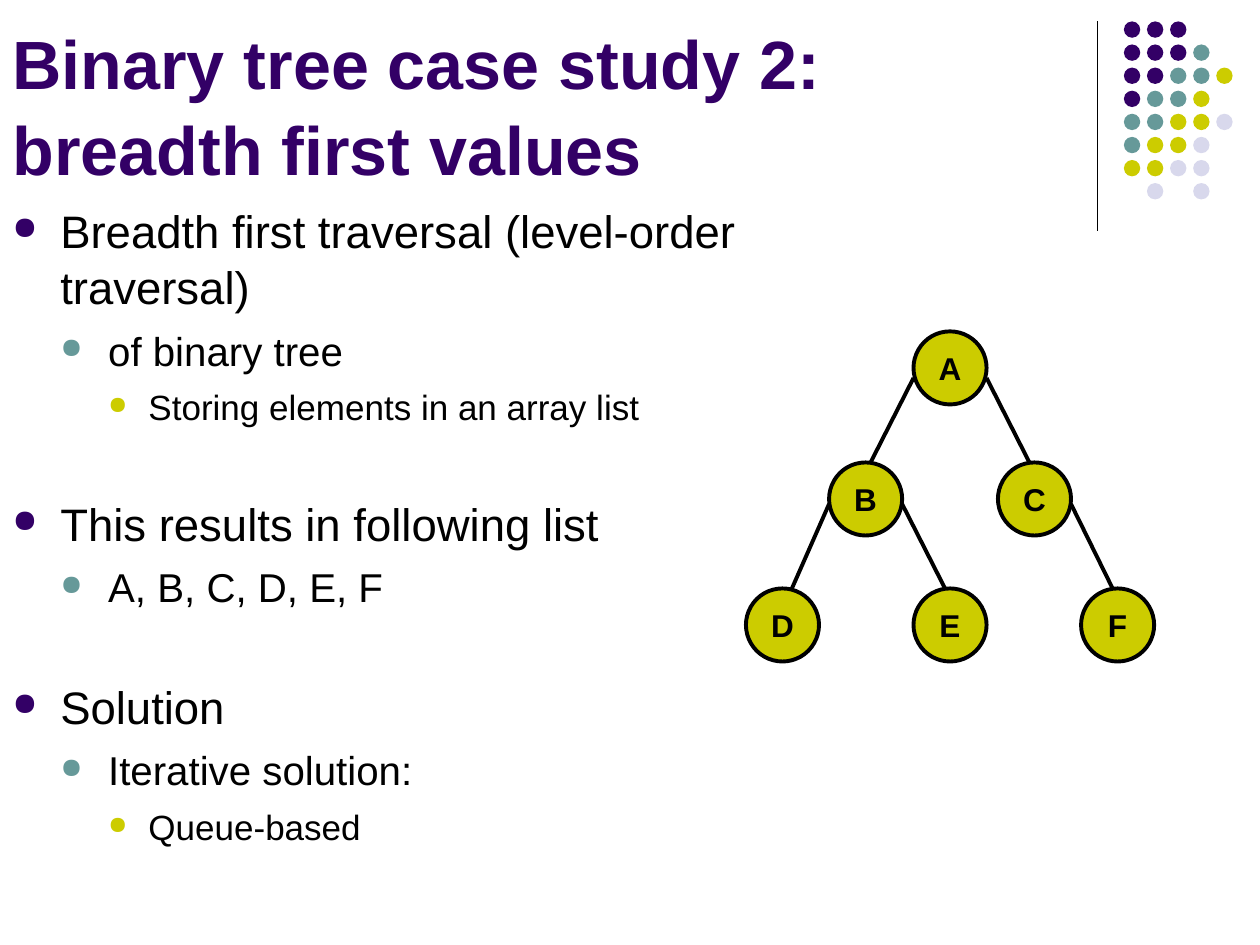
from lxml import etree
from pptx import Presentation
from pptx.dml.color import RGBColor
from pptx.enum.shapes import MSO_CONNECTOR, MSO_SHAPE
from pptx.enum.text import MSO_ANCHOR, MSO_AUTO_SIZE, PP_ALIGN
from pptx.oxml.ns import qn
from pptx.util import Inches, Pt

OVAL = MSO_SHAPE.OVAL
STRAIGHT = MSO_CONNECTOR.STRAIGHT
FONT = "Arial"
COLORS = {
    "purple": "330066",
    "teal": "669999",
    "lime": "CCCC00",
    "lavender": "D8D8EC",
    "black": "000000",
}
RGB = {name: RGBColor.from_string(value) for name, value in COLORS.items()}

presentation = Presentation()
presentation.slide_width = Inches(10)
presentation.slide_height = Inches(7.5)
slide = presentation.slides.add_slide(presentation.slide_layouts[5])
shapes = slide.shapes


def add_line(x1, y1, x2, y2, width):
    """Draw a straight black line without a shadow."""
    line = shapes.add_connector(
        STRAIGHT, Inches(x1), Inches(y1), Inches(x2), Inches(y2)
    )
    line.line.color.rgb = RGB["black"]
    line.line.width = Pt(width)
    etree.SubElement(line._element.spPr, qn("a:effectLst"))


def add_circle(left, top, size, color):
    """Draw a filled circle without a shadow and return it."""
    circle = shapes.add_shape(
        OVAL, Inches(left), Inches(top), Inches(size), Inches(size)
    )
    circle.shadow.inherit = False
    circle.fill.solid()
    circle.fill.fore_color.rgb = RGB[color]
    return circle


# Corner decoration: one letter per dot, a space leaves a gap
add_line(8.71, 0.17, 8.71, 1.83, 0.75)
DOT_ROWS = ["PPP", "PPPT", "PPTTL", "PTTL", "TTLLV", "TLLV", "LLVV", " V V"]
DOT_COLORS = {"P": "purple", "T": "teal", "L": "lime", "V": "lavender"}
DOT_PITCH = 1.1 / 6
for row, letters in enumerate(DOT_ROWS):
    for column, letter in enumerate(letters):
        if letter in DOT_COLORS:
            dot = add_circle(
                8.92 + column * DOT_PITCH,
                0.17 + row * DOT_PITCH,
                0.13,
                DOT_COLORS[letter],
            )
            dot.line.fill.background()

# Title
title = shapes.title
title.left, title.top = Inches(0), Inches(0)
title.width, title.height = Inches(8.75), Inches(1.55)
title.text_frame.text = "Binary tree case study 2: \vbreadth first values"
title.text_frame.auto_size = MSO_AUTO_SIZE.NONE
title.text_frame.vertical_anchor = MSO_ANCHOR.BOTTOM
paragraph = title.text_frame.paragraphs[0]
paragraph.alignment = PP_ALIGN.LEFT
paragraph.line_spacing = 1.05
paragraph.font.name = FONT
paragraph.font.size = Pt(39)
paragraph.font.bold = True
paragraph.font.color.rgb = RGB["purple"]

# Bulleted text: level, space before in points, wording
BULLETS = [
    (0, 2, "Breadth first traversal (level-order traversal)"),
    (1, 6, "of binary tree"),
    (2, 6, "Storing elements in an array list"),
    (0, 38, "This results in following list"),
    (1, 6, "A, B, C, D, E, F"),
    (0, 38, "Solution"),
    (1, 6, "Iterative solution: "),
    (2, 6, "Queue-based"),
]
# Per level: text size, left margin, hanging indent, bullet colour
LEVELS = [
    (26, 0.38, 0.38, "purple"),
    (23, 0.76, 0.38, "teal"),
    (20, 1.08, 0.32, "lime"),
]
body = shapes.add_textbox(Inches(0), Inches(1.55), Inches(7.25), Inches(5.95))
body.text_frame.word_wrap = True
for index, (level, space, text) in enumerate(BULLETS):
    size, margin, hanging, color = LEVELS[level]
    if index == 0:
        paragraph = body.text_frame.paragraphs[0]
    else:
        paragraph = body.text_frame.add_paragraph()
    paragraph.text = text
    paragraph.level = level
    paragraph.line_spacing = 1.03
    paragraph.space_before = Pt(space)
    paragraph.font.name = FONT
    paragraph.font.size = Pt(size)
    paragraph.font.color.rgb = RGB["black"]
    properties = paragraph._p.get_or_add_pPr()
    properties.set("marL", str(Inches(margin)))
    properties.set("indent", str(-Inches(hanging)))
    bullet_color = etree.Element(qn("a:buClr"))
    etree.SubElement(bullet_color, qn("a:srgbClr"), val=COLORS[color])
    bullet_size = etree.Element(qn("a:buSzPct"), val="70000")
    bullet_char = etree.Element(qn("a:buChar"), char="●")
    text_defaults = properties.find(qn("a:defRPr"))
    for element in (bullet_color, bullet_size, bullet_char):
        text_defaults.addprevious(element)

# Binary tree: edges first, so that nodes cover their ends
NODE_SIZE = 0.58
NODES = {
    "A": (7.25, 2.63),
    "B": (6.58, 3.67),
    "C": (7.92, 3.67),
    "D": (5.92, 4.67),
    "E": (7.25, 4.67),
    "F": (8.58, 4.67),
}
# Parent, child, height at the parent, height at the child
EDGES = [
    ("A", "B", 3, 3.67),
    ("A", "C", 3, 3.67),
    ("B", "D", 4, 4.75),
    ("B", "E", 4, 4.67),
    ("C", "F", 4, 4.67),
]
for parent, child, start_y, end_y in EDGES:
    parent_left, child_left = NODES[parent][0], NODES[child][0]
    goes_right = child_left > parent_left
    start_x = parent_left + NODE_SIZE if goes_right else parent_left
    end_x = child_left + (0.25 if goes_right else 0.33)
    add_line(start_x, start_y, end_x, end_y, 2.25)

for name, (left, top) in NODES.items():
    node = add_circle(left, top, NODE_SIZE, "lime")
    node.line.color.rgb = RGB["black"]
    node.line.width = Pt(2.25)
    node.text_frame.word_wrap = False
    node.text_frame.vertical_anchor = MSO_ANCHOR.MIDDLE
    paragraph = node.text_frame.paragraphs[0]
    paragraph.text = name
    paragraph.alignment = PP_ALIGN.CENTER
    paragraph.font.name = FONT
    paragraph.font.size = Pt(18)
    paragraph.font.bold = True
    paragraph.font.color.rgb = RGB["black"]

presentation.save("out.pptx")
